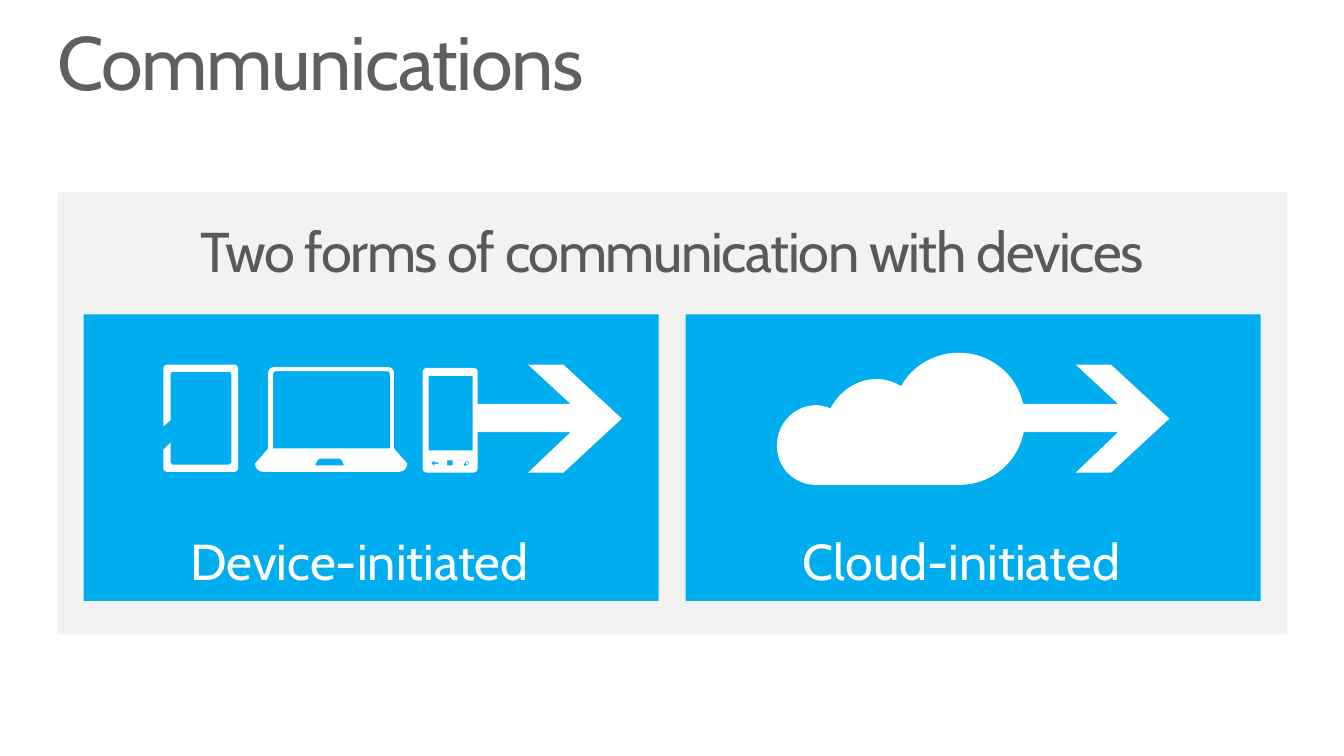
from dataclasses import dataclass
from math import hypot

from pptx import Presentation
from pptx.dml.color import RGBColor
from pptx.enum.shapes import MSO_SHAPE
from pptx.enum.text import MSO_ANCHOR, MSO_AUTO_SIZE, PP_ALIGN
from pptx.oxml.ns import qn
from pptx.oxml.xmlchemy import OxmlElement
from pptx.util import Cm, Pt

COLORS = {
    "panel": "F2F2F2",
    "tile": "00AEEF",
    "white": "FFFFFF",
    "heading": "595959",
    "title": "5F5F5F",
}
FONT = "Cabin"

Point = tuple[float, float]
# A start point, then segments: one point for a line, three for a cubic curve.
Contour = list[list[Point]]


@dataclass(frozen=True)
class Box:
    left: float
    top: float
    width: float
    height: float


@dataclass(frozen=True)
class Corner:
    x: float
    y: float
    radius: float = 0


@dataclass(frozen=True)
class Tile:
    label: str
    left: float
    label_left: float
    arrow_left: float
    icons: list[list[Contour]]


def toward(corner: Corner, other: Corner, distance: float) -> Point:
    """Return the point at a distance from a corner on the way to another."""
    dx, dy = other.x - corner.x, other.y - corner.y
    share = distance / hypot(dx, dy)
    return corner.x + dx * share, corner.y + dy * share


def rounded_polygon(*corners: Corner) -> Contour:
    contour = []
    for index, corner in enumerate(corners):
        if not corner.radius:
            contour.append([(corner.x, corner.y)])
            continue
        before, after = corners[index - 1], corners[(index + 1) % len(corners)]
        start, end = (toward(corner, other, corner.radius) for other in (before, after))
        handles = (toward(corner, other, corner.radius * 0.45) for other in (before, after))
        contour += [[start], [*handles, end]]
    return contour


def rounded_rectangle(left: float, top: float, right: float, bottom: float,
                      radius: float = 0) -> Contour:
    return rounded_polygon(Corner(left, top, radius), Corner(right, top, radius),
                           Corner(right, bottom, radius), Corner(left, bottom, radius))


TITLE_BOX = Box(1.45, 0.64, 30.96, 2.08)
PANEL_BOX = Box(1.45, 4.85, 30.99, 11.13)
HEADING_BOX = Box(3.56, 5.33, 26.77, 1.96)
ARROW_TOP = 9.19
ARROW = [(2.44, 0.99), (1.37, 0), (2.26, 0), (3.73, 1.36), (2.26, 2.72),
         (1.37, 2.72), (2.44, 1.7), (0, 1.7), (0, 0.99)]

CLOUD = [[
    [(24.16, 8.89)],
    [(23.55, 8.89), (22.99, 9.22), (22.71, 9.73)],
    [(22.53, 9.63), (22.33, 9.55), (22.1, 9.55)],
    [(21.59, 9.55), (21.16, 9.86), (20.93, 10.29)],
    [(20.8, 10.24), (20.68, 10.21), (20.57, 10.21)],
    [(20.02, 10.21), (19.58, 10.67), (19.58, 11.23)],
    [(19.58, 11.79), (20.02, 12.22), (20.57, 12.22)],
    [(24.16, 12.22)],
    [(25.1, 12.22), (25.83, 11.48), (25.83, 10.57)],
    [(25.83, 9.63), (25.1, 8.89), (24.16, 8.89)],
]]
TABLET = [rounded_polygon(
    Corner(4.12, 10.74), Corner(4.12, 9.19, 0.08), Corner(6, 9.19, 0.08),
    Corner(6, 11.89, 0.08), Corner(4.12, 11.89, 0.08), Corner(4.12, 11.33),
    Corner(4.3, 11.15), Corner(4.3, 11.71, 0.05), Corner(5.83, 11.71, 0.05),
    Corner(5.83, 9.37, 0.05), Corner(4.3, 9.37, 0.05), Corner(4.3, 10.59),
)]
LAPTOP = [
    rounded_polygon(
        Corner(6.76, 9.25, 0.15), Corner(9.93, 9.25, 0.15), Corner(9.93, 11.3),
        Corner(10.26, 11.68), Corner(10.26, 11.89, 0.2),
        Corner(6.43, 11.89, 0.2), Corner(6.43, 11.68), Corner(6.76, 11.3)),
    rounded_polygon(Corner(8.03, 11.56, 0.03), Corner(8.59, 11.56, 0.03),
                    Corner(8.68, 11.73, 0.03), Corner(7.93, 11.73, 0.03)),
    rounded_polygon(Corner(6.88, 9.35, 0.08), Corner(9.83, 9.35, 0.08),
                    Corner(9.83, 11.3), Corner(6.88, 11.3)),
]
SEARCH_LENS = [rounded_rectangle(11.74, 11.63, 11.81, 11.7, 0.03)]
PHONE_BODY = rounded_rectangle(10.65, 9.27, 12.04, 11.91, 0.1)
PHONE_SCREEN = rounded_rectangle(10.8, 9.47, 11.91, 11.35)
BACK_BUTTON = rounded_polygon(
    Corner(10.87, 11.67), Corner(10.93, 11.61), Corner(10.97, 11.61),
    Corner(10.93, 11.65), Corner(11.05, 11.65), Corner(11.05, 11.69),
    Corner(10.93, 11.69), Corner(10.97, 11.73), Corner(10.93, 11.73))
HOME_BUTTON = rounded_rectangle(11.27, 11.6, 11.41, 11.73)
SEARCH_BUTTON = rounded_polygon(
    Corner(11.71, 11.61, 0.05), Corner(11.83, 11.61, 0.05), Corner(11.83, 11.72, 0.05),
    Corner(11.75, 11.72), Corner(11.71, 11.75), Corner(11.68, 11.73), Corner(11.71, 11.68))
PHONE = [PHONE_BODY, BACK_BUTTON, HOME_BUTTON, SEARCH_BUTTON, PHONE_SCREEN]

TILES = [
    Tile("Device-initiated", 2.11, 4.22, 11.94, [TABLET, LAPTOP, SEARCH_LENS, PHONE]),
    Tile("Cloud-initiated", 17.28, 19.39, 25.74, [CLOUD]),
]


def paint(shape, color: str) -> None:
    shape.shadow.inherit = False
    shape.fill.solid()
    shape.fill.fore_color.rgb = RGBColor.from_string(COLORS[color])
    shape.line.fill.background()


def add_block(slide, preset, box: Box, color: str) -> None:
    lengths = map(Cm, (box.left, box.top, box.width, box.height))
    block = slide.shapes.add_shape(preset, *lengths)
    if preset == MSO_SHAPE.ROUNDED_RECTANGLE:
        block.adjustments[0] = 0
    paint(block, color)


def bend_segments(shape, contours: list[Contour]) -> None:
    """Turn each run of three lines that stands for a curve into a cubic curve."""
    lines = iter(shape._element.findall(f".//{qn('a:lnTo')}"))
    for contour in contours:
        for segment in contour[1:]:
            parts = [next(lines) for _ in segment]
            if len(parts) == 3:
                curve = OxmlElement("a:cubicBezTo")
                parts[0].addprevious(curve)
                for line in parts:
                    curve.append(line[0])
                    line.getparent().remove(line)


def add_icon(slide, contours: list[Contour]) -> None:
    """Draw a white icon; contours inside the first one are holes."""
    outlines = [[(Cm(x), Cm(y)) for segment in contour for x, y in segment]
                for contour in contours]
    builder = slide.shapes.build_freeform(*outlines[0][0], scale=1.0)
    for index, (start, *others) in enumerate(outlines):
        if index:
            builder.move_to(*start)
        builder.add_line_segments(others, close=True)
    shape = builder.convert_to_shape()
    bend_segments(shape, contours)
    paint(shape, "white")


def write_text(slide, box: Box, text: str, *, size: float, color: str, shape=None,
               align=PP_ALIGN.CENTER, anchor=MSO_ANCHOR.TOP, inset: bool = False,
               grow: bool = False, spacing: int = 0, line_spacing: float = 1.0) -> None:
    """Fill the given placeholder, or a new text box, with one formatted line."""
    if shape is None:
        shape = slide.shapes.add_textbox(0, 0, 0, 0)
    shape.left, shape.top = Cm(box.left), Cm(box.top)
    shape.width, shape.height = Cm(box.width), Cm(box.height)
    frame = shape.text_frame
    frame.word_wrap = True
    frame.auto_size = MSO_AUTO_SIZE.SHAPE_TO_FIT_TEXT if grow else MSO_AUTO_SIZE.NONE
    frame.vertical_anchor = anchor
    if not inset:
        frame.margin_left = frame.margin_right = frame.margin_top = frame.margin_bottom = 0
    paragraph = frame.paragraphs[0]
    paragraph.alignment, paragraph.line_spacing = align, line_spacing
    run = paragraph.add_run()
    run.text = text
    run.font.name, run.font.size = FONT, Pt(size)
    run.font.color.rgb = RGBColor.from_string(COLORS[color])
    if spacing:
        run.font._element.set("spc", str(spacing))


def main() -> None:
    presentation = Presentation()
    presentation.slide_width, presentation.slide_height = Cm(33.87), Cm(19.05)
    slide = presentation.slides.add_slide(presentation.slide_layouts[5])
    write_text(slide, TITLE_BOX, "Communications", shape=slide.shapes.title, size=54,
               color="title", align=PP_ALIGN.LEFT, grow=True, spacing=-100, line_spacing=0.9)
    add_block(slide, MSO_SHAPE.RECTANGLE, PANEL_BOX, "panel")
    write_text(slide, HEADING_BOX, "Two forms of communication with devices", size=40,
               color="heading", inset=True, grow=True, spacing=-100)
    for tile in TILES:
        add_block(slide, MSO_SHAPE.ROUNDED_RECTANGLE, Box(tile.left, 7.92, 14.49, 7.22), "tile")
        write_text(slide, Box(tile.label_left, 13.35, 9.68, 1.55), tile.label, size=36,
                   color="white", anchor=MSO_ANCHOR.MIDDLE)
        arrow = [[(tile.arrow_left + x, ARROW_TOP + y)] for x, y in ARROW]
        for icon in (*tile.icons, [arrow]):
            add_icon(slide, icon)
    presentation.save("out.pptx")


if __name__ == "__main__":
    main()
